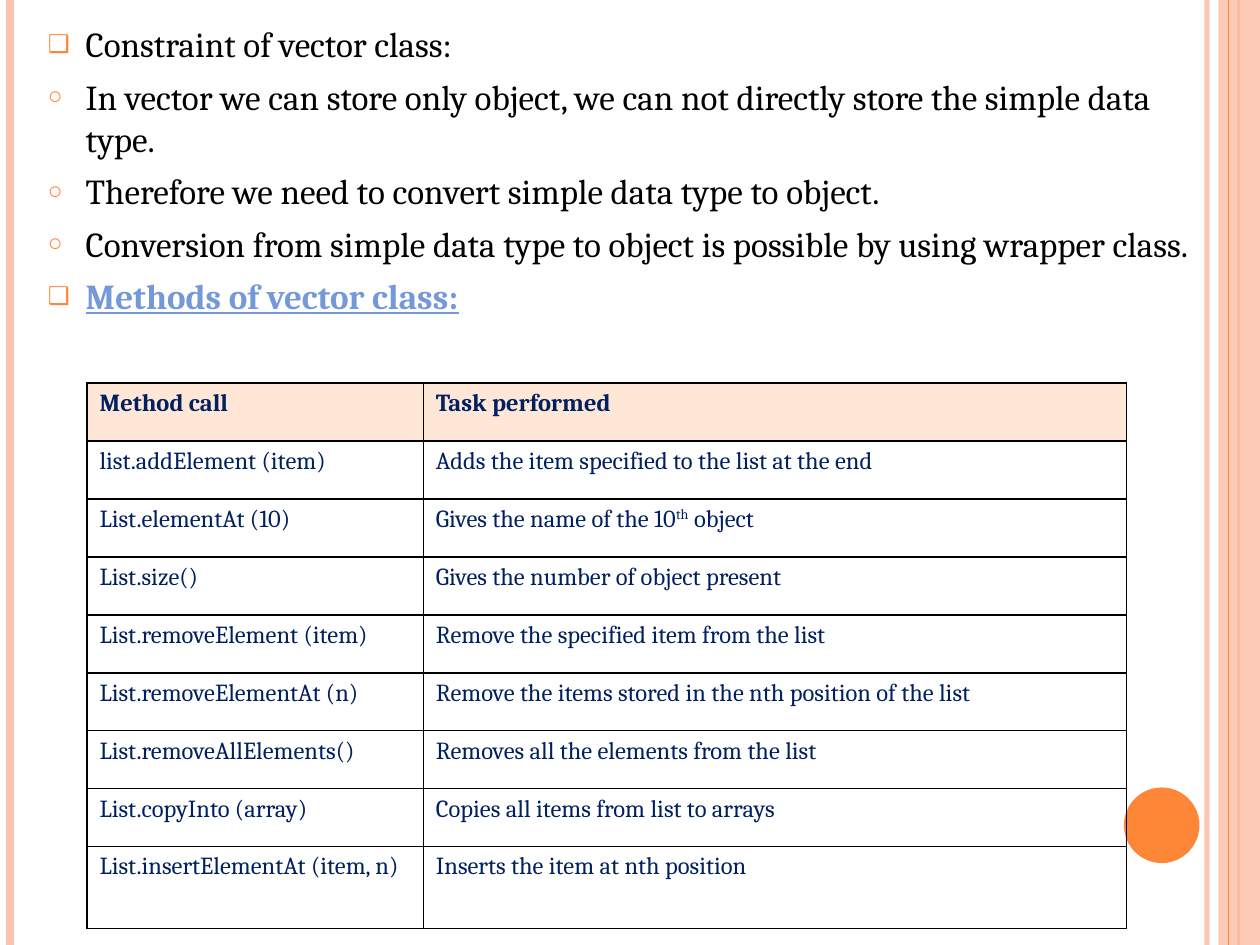
from lxml import etree
from pptx import Presentation
from pptx.dml.color import RGBColor
from pptx.enum.shapes import MSO_CONNECTOR, MSO_SHAPE
from pptx.enum.text import MSO_ANCHOR, MSO_AUTO_SIZE, PP_ALIGN
from pptx.oxml.ns import qn
from pptx.util import Emu, Inches, Pt

STRAIGHT = MSO_CONNECTOR.STRAIGHT
RECTANGLE, OVAL = MSO_SHAPE.RECTANGLE, MSO_SHAPE.OVAL
TOP, LEFT = MSO_ANCHOR.TOP, PP_ALIGN.LEFT
NO_FIT = MSO_AUTO_SIZE.NONE

FONT = "Cambria"
COLORS = {
    "peach": "FEC3AE",
    "orange": "FE8637",
    "black": "000000",
    "heading": "7598D9",
    "navy": "002060",
    "header": "FFE7D7",
}
WIDTH, HEIGHT = Inches(10), Inches(7.5)
PAGE_BOX = (0, 0, WIDTH, HEIGHT)
LIST_BOX = (Inches(0.28), Inches(0.13), Inches(9.29), Inches(2.91))
TABLE_BOX = (Inches(0.69), Inches(3.04), Inches(8.25), Inches(4.33))

SQUARE, RING = "❑", "○"
POINTS = [
    (SQUARE, "Constraint of vector class:", False),
    (RING, "In vector we can store only object, we can not directly store "
           "the simple data type.", False),
    (RING, "Therefore we need to convert simple data type to object.", False),
    (RING, "Conversion from simple data type to object is possible by using "
           "wrapper class.", False),
    (SQUARE, "Methods of vector class:", True),
]
# Each cell is a list of spans; a span starting with "^" is superscript.
METHODS = [
    (["Method call"], ["Task performed"]),
    (["list.addElement (item)"],
     ["Adds the item specified to the list at the end"]),
    (["List.elementAt (10)"], ["Gives the name of the 10", "^th", " object"]),
    (["List.size()"], ["Gives the number of object present"]),
    (["List.removeElement (item)"],
     ["Remove the specified item from the list"]),
    (["List.removeElementAt (n)"],
     ["Remove the items stored in the nth position of the list"]),
    (["List.removeAllElements()"], ["Removes all the elements from the list"]),
    (["List.copyInto (array)"], ["Copies all items from list to arrays"]),
    (["List.insertElementAt (item, n)"], ["Inserts the item at nth position"]),
]


def rgb(name):
    return RGBColor.from_string(COLORS[name])


def set_alpha(element, percent):
    for color in element.iter(qn("a:srgbClr")):
        etree.SubElement(color, qn("a:alpha"), val=str(percent * 1000))


def add_span(para, text, size, color, bold=False):
    span = para.add_run()
    span.text = text
    span.font.name = FONT
    span.font.size = Pt(size)
    span.font.bold = bold
    span.font.color.rgb = rgb(color)
    return span


def add_stripe(page, x, top, height, color, weight):
    stripe = page.shapes.add_connector(STRAIGHT, x, top, x, top + height)
    stripe.line.color.rgb = rgb(color)
    stripe.line.width = Pt(weight)
    etree.SubElement(stripe._element.spPr, qn("a:effectLst"))
    return stripe


def add_solid(page, kind, box, color):
    solid = page.shapes.add_shape(kind, *box)
    solid.shadow.inherit = False
    solid.fill.solid()
    solid.fill.fore_color.rgb = rgb(color)
    solid.line.fill.background()
    return solid


def add_frame(page, box):
    """Draw the vertical stripes, the right band and the corner dot."""
    left, top, width, height = box

    def across(share):
        return left + Emu(round(width * share))

    inner = add_stripe(page, across(0.958), top, height, "peach", 3)
    set_alpha(inner._element, 93)
    add_stripe(page, across(0.008), top, height, "peach", 4.5)
    add_stripe(page, across(0.983), top, height, "orange", 1.5)
    band_left = across(0.967)
    band = add_solid(page, RECTANGLE,
                     (band_left, top, left + width - band_left, height), "peach")
    set_alpha(band._element, 87)
    add_stripe(page, across(0.975), top, height, "orange", 0.75)
    side = Emu(round(width * 0.06))
    dot_top = top + Emu(round(height * 5 / 6))
    add_solid(page, OVAL, (across(0.892), dot_top, side, side), "orange")


def set_bullet(para, mark):
    props = para._p.get_or_add_pPr()
    props.set("marL", str(Inches(0.3)))
    props.set("indent", str(-Inches(0.3)))
    color = etree.SubElement(props, qn("a:buClr"))
    etree.SubElement(color, qn("a:srgbClr"), val=COLORS["orange"])
    etree.SubElement(props, qn("a:buSzPct"), val="70000")
    etree.SubElement(props, qn("a:buChar"), char=mark)


def fill_list(body, box):
    body.left, body.top, body.width, body.height = box
    frame = body.text_frame
    frame.word_wrap = True
    frame.auto_size = NO_FIT
    frame.vertical_anchor = TOP
    for index, (mark, text, is_heading) in enumerate(POINTS):
        para = frame.add_paragraph() if index else frame.paragraphs[0]
        para.alignment = LEFT
        para.space_before = Pt(6)
        set_bullet(para, mark)
        color = "heading" if is_heading else "black"
        span = add_span(para, text, 20, color, is_heading)
        span.font.underline = is_heading


def set_borders(cell):
    props = cell._tc.get_or_add_tcPr()
    for index, side in enumerate(("lnL", "lnR", "lnT", "lnB")):
        edge = etree.Element(qn(f"a:{side}"), w=str(Pt(1)))
        fill = etree.SubElement(edge, qn("a:solidFill"))
        etree.SubElement(fill, qn("a:srgbClr"), val=COLORS["black"])
        props.insert(index, edge)


def fill_cell(cell, spans, is_header):
    if is_header:
        cell.fill.solid()
        cell.fill.fore_color.rgb = rgb("header")
    else:
        cell.fill.background()
    set_borders(cell)
    para = cell.text_frame.paragraphs[0]
    for text in spans:
        span = add_span(para, text.lstrip("^"), 14, "navy", is_header)
        if text.startswith("^"):
            span.font._element.set("baseline", "30000")


def add_methods_table(page, box):
    left, top, width, height = box
    table = page.shapes.add_table(len(METHODS), 2, *box).table
    table.horz_banding = False
    table.columns[0].width = Inches(2.67)
    table.columns[1].width = width - Inches(2.67)
    row_height = Inches(0.46)
    for row in table.rows:
        row.height = row_height
    last = len(METHODS) - 1
    table.rows[last].height = height - last * row_height
    for row_index, row in enumerate(METHODS):
        for column_index, spans in enumerate(row):
            fill_cell(table.cell(row_index, column_index), spans, row_index == 0)


def main():
    deck = Presentation()
    deck.slide_width, deck.slide_height = WIDTH, HEIGHT
    page = deck.slides.add_slide(deck.slide_layouts[1])
    title = page.shapes.title._element
    title.getparent().remove(title)
    add_frame(page, PAGE_BOX)
    fill_list(page.placeholders[1], LIST_BOX)
    add_methods_table(page, TABLE_BOX)
    deck.save("out.pptx")


if __name__ == "__main__":
    main()
